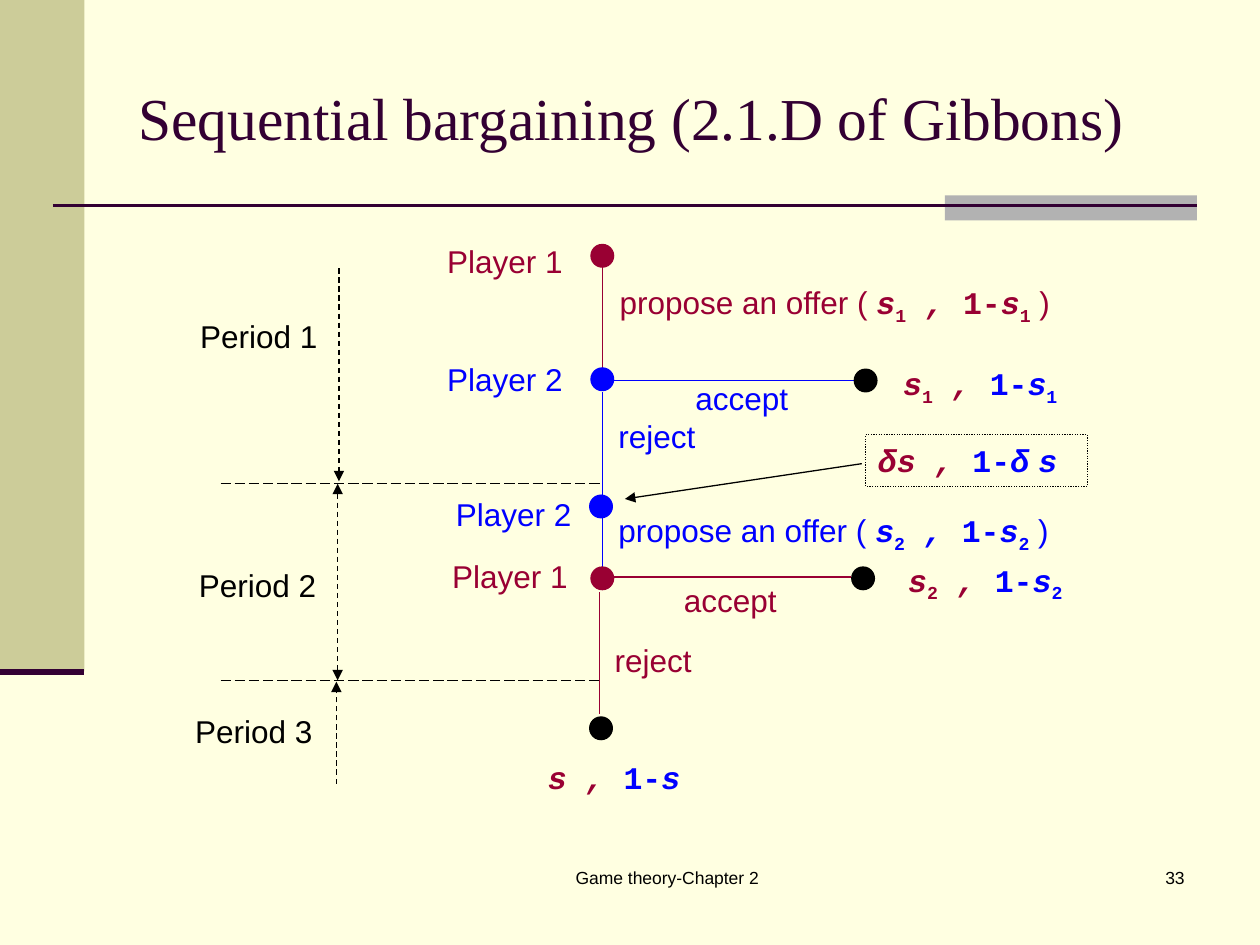
import pptx
import pptx.util
import pptx.oxml
import pptx.oxml.ns
from pptx.dml.color import RGBColor
from pptx.enum.dml import MSO_LINE
from pptx.enum.shapes import MSO_CONNECTOR, MSO_SHAPE
from pptx.enum.text import MSO_ANCHOR, PP_ALIGN
from pptx.util import Inches, Pt

CREAM = RGBColor(0xFF, 0xFF, 0xE1)
OLIVE = RGBColor(0xCC, 0xCC, 0x99)
GRAY = RGBColor(0xB2, 0xB2, 0xB2)
PLUM = RGBColor(0x33, 0x00, 0x33)
BLACK = RGBColor(0, 0, 0)
RED = RGBColor(0x99, 0x00, 0x33)    # player 1
BLUE = RGBColor(0x00, 0x00, 0xFF)   # player 2

DOT = 0.18
LABEL_H = 0.4


def add_block(slide, shape, x, y, w, h, fill, outline=None):
    sp = slide.shapes.add_shape(shape, Inches(x), Inches(y), Inches(w), Inches(h))
    sp.shadow.inherit = False
    if fill is None:
        sp.fill.background()
    else:
        sp.fill.solid()
        sp.fill.fore_color.rgb = fill
    if outline is None:
        sp.line.fill.background()
    else:
        sp.line.color.rgb = outline
        sp.line.width = Pt(0.75)
    return sp


def add_dot(slide, x, y, color):
    add_block(slide, MSO_SHAPE.OVAL, x, y, DOT, DOT, color, color)


def add_line(slide, x1, y1, x2, y2, color=BLACK, width=0.75, dash=None, arrows=()):
    """Draw a line; arrows may hold "headEnd" (start) and "tailEnd" (finish)."""
    line = slide.shapes.add_connector(
        MSO_CONNECTOR.STRAIGHT, Inches(x1), Inches(y1), Inches(x2), Inches(y2))
    line.line.color.rgb = color
    line.line.width = Pt(width)
    if dash is not None:
        line.line.dash_style = dash
    ln = line.line._get_or_add_ln()
    for end in arrows:
        pptx.oxml.ns.qn("a:ln")
        pptx.oxml.xmlchemy.OxmlElement("a:" + end)
        el = pptx.oxml.xmlchemy.OxmlElement("a:" + end)
        el.set("type", "triangle")
        ln.append(el)
    line._element.spPr.append(pptx.oxml.xmlchemy.OxmlElement("a:effectLst"))


def write_runs(sp, runs, align=PP_ALIGN.LEFT):
    """Fill a shape with (text, color, style) runs.

    Styles: "" plain, "b" bold mono, "i" bold italic mono,
    "sub" bold mono subscript, "greek" bold italic sans.
    """
    p = sp.text_frame.paragraphs[0]
    p.alignment = align
    for text, color, style in runs:
        r = p.add_run()
        r.text = text
        r.font.name = "Arial" if style in ("", "greek") else "Courier New"
        r.font.size = Pt(18)
        r.font.bold = style != ""
        r.font.italic = style in ("i", "greek")
        r.font.color.rgb = color
        if style == "sub":
            r.font._element.set("baseline", "-25000")


def add_text(slide, x, y, w, runs, h=LABEL_H, align=PP_ALIGN.LEFT):
    tb = slide.shapes.add_textbox(Inches(x), Inches(y), Inches(w), Inches(h))
    tb.text_frame.word_wrap = True
    write_runs(tb, runs, align)
    return tb


def add_label(slide, x, y, w, text, color):
    add_text(slide, x, y, w, [(text, color, "")])


def split(first, second, index=""):
    """Runs for the shares "s , 1-s", each player's part in its own colour."""
    if not index:
        return [("s , ", first, "i"), ("1-", second, "b"), ("s", second, "i")]
    return [("s", first, "i"), (index, first, "sub"), (" , ", first, "i"),
            ("1-", second, "b"), ("s", second, "i"), (index, second, "sub")]


def offer(color, index):
    return [("propose an offer ( ", color, ""), *split(color, color, index),
            (" )", color, "")]


def set_size(sp, size, font, color):
    for r in sp.text_frame.paragraphs[0].runs:
        r.font.size = Pt(size)
        r.font.name = font
        r.font.color.rgb = color


def draw_frame(slide, x, y, w):
    add_block(slide, MSO_SHAPE.RECTANGLE, x, y, 0.67, 5.33, OLIVE)
    add_block(slide, MSO_SHAPE.RECTANGLE, x + w - 2.5, y + 1.55, 2, 0.2, GRAY)
    add_line(slide, x + 0.42, y + 1.63, x + w - 0.5, y + 1.63, PLUM, 1.5)
    add_line(slide, x, y + 5.33, x + 0.67, y + 5.33, PLUM, 3.5)


def draw_title(slide, x, y, w, h):
    tb = add_text(slide, x, y, w,
                  [("Sequential bargaining (2.1.D of Gibbons)", PLUM, "")], h)
    tb.text_frame.vertical_anchor = MSO_ANCHOR.MIDDLE
    set_size(tb, 34, "Times New Roman", PLUM)


def draw_footer(slide, x, y, w, h):
    for dx, width, text, align in (
            (0, 3.25, "Game theory-Chapter 2", PP_ALIGN.CENTER),
            (w - 2.08, 2.08, "33", PP_ALIGN.RIGHT)):
        tb = add_text(slide, x + dx, y, width, [(text, BLACK, "")], h, align)
        set_size(tb, 10, "Arial", BLACK)


def draw_periods(slide, x, y, w):
    """Period names, their time arrows and the dashed borders between them."""
    for dx, dy, name in ((0.04, 0.6, "Period 1"), (0.03, 2.57, "Period 2"),
                         (0, 3.73, "Period 3")):
        add_label(slide, x + dx, y + dy, 1.25, name, BLACK)
    for dy in (1.97, 3.53):
        add_line(slide, x + 0.3, y + dy, x + w, y + dy, dash=MSO_LINE.LONG_DASH)
    for dx, start, end, arrows in (
            (1.24, 0.26, 1.95, ["tailEnd"]),
            (1.23, 1.97, 3.53, ["headEnd", "tailEnd"]),
            (1.22, 4.35, 3.54, ["tailEnd"])):
        add_line(slide, x + dx, y + start, x + dx, y + end,
                 dash=MSO_LINE.DASH, arrows=arrows)


def draw_game_tree(slide, x, y):
    # Branches: start and end offsets, colour of the player who moves
    for x1, y1, x2, y2, color in (
            (1.33, 0.24, 1.33, 1.05, RED), (1.41, 1.15, 3.33, 1.15, BLUE),
            (1.33, 1.24, 1.33, 2.65, BLUE), (1.38, 2.71, 3.3, 2.71, RED),
            (1.31, 2.83, 1.31, 3.8, RED)):
        add_line(slide, x + x1, y + y1, x + x2, y + y2, color)
    for dx, dy, color in (
            (1.24, 0.07, RED), (1.24, 1.05, BLUE), (1.23, 2.06, BLUE),
            (1.24, 2.63, RED), (1.23, 3.82, BLACK),
            (3.33, 1.06, BLACK), (3.31, 2.63, BLACK)):
        add_dot(slide, x + dx, y + dy, color)
    for dx, dy, text, color in (
            (0, 0, "Player 1", RED), (0, 0.94, "Player 2", BLUE),
            (0.07, 2.01, "Player 2", BLUE), (0.04, 2.5, "Player 1", RED),
            (1.97, 1.09, "accept", BLUE), (1.36, 1.39, "reject", BLUE),
            (1.88, 2.69, "accept", RED), (1.33, 3.17, "reject", RED)):
        add_label(slide, x + dx, y + dy, 1.18, text, color)
    for dx, dy, w, runs in (
            (1.37, 0.33, 3.84, offer(RED, "1")),
            (1.36, 2.14, 3.69, offer(BLUE, "2")),
            (3.62, 0.97, 1.49, split(RED, BLUE, "1")),
            (3.66, 2.53, 1.49, split(RED, BLUE, "2")),
            (0.8, 4.1, 1.49, split(RED, BLUE))):
        add_text(slide, x + dx, y + dy, w, runs)


def draw_discount_note(slide, x, y, w, h):
    """Dotted box with the discounted shares, pointing at the second offer."""
    box = add_block(slide, MSO_SHAPE.RECTANGLE, x, y, w, h, None, BLACK)
    box.line.dash_style = MSO_LINE.ROUND_DOT
    box.text_frame.word_wrap = True
    box.text_frame.vertical_anchor = MSO_ANCHOR.TOP
    write_runs(box, [("δs , ", RED, "i"), ("1-", BLUE, "b"),
                     ("δ ", BLUE, "greek"), ("s", BLUE, "i")])
    add_line(slide, x - 0.03, y + 0.23, x - 1.91, y + 0.51, arrows=["tailEnd"])


def main():
    prs = pptx.Presentation()
    prs.slide_width, prs.slide_height = Inches(10), Inches(7.5)
    s = prs.slides.add_slide(prs.slide_layouts[6])
    s.background.fill.solid()
    s.background.fill.fore_color.rgb = CREAM
    draw_frame(s, 0, 0, 10)
    draw_title(s, 1, 0.3, 8.5, 1.25)
    draw_periods(s, 1.45, 1.87, 3.31)
    draw_game_tree(s, 3.45, 1.87)
    draw_discount_note(s, 6.87, 3.45, 1.76, 0.41)
    draw_footer(s, 3.67, 6.83, 5.83, 0.5)
    prs.save("out.pptx")


if __name__ == "__main__":
    main()
